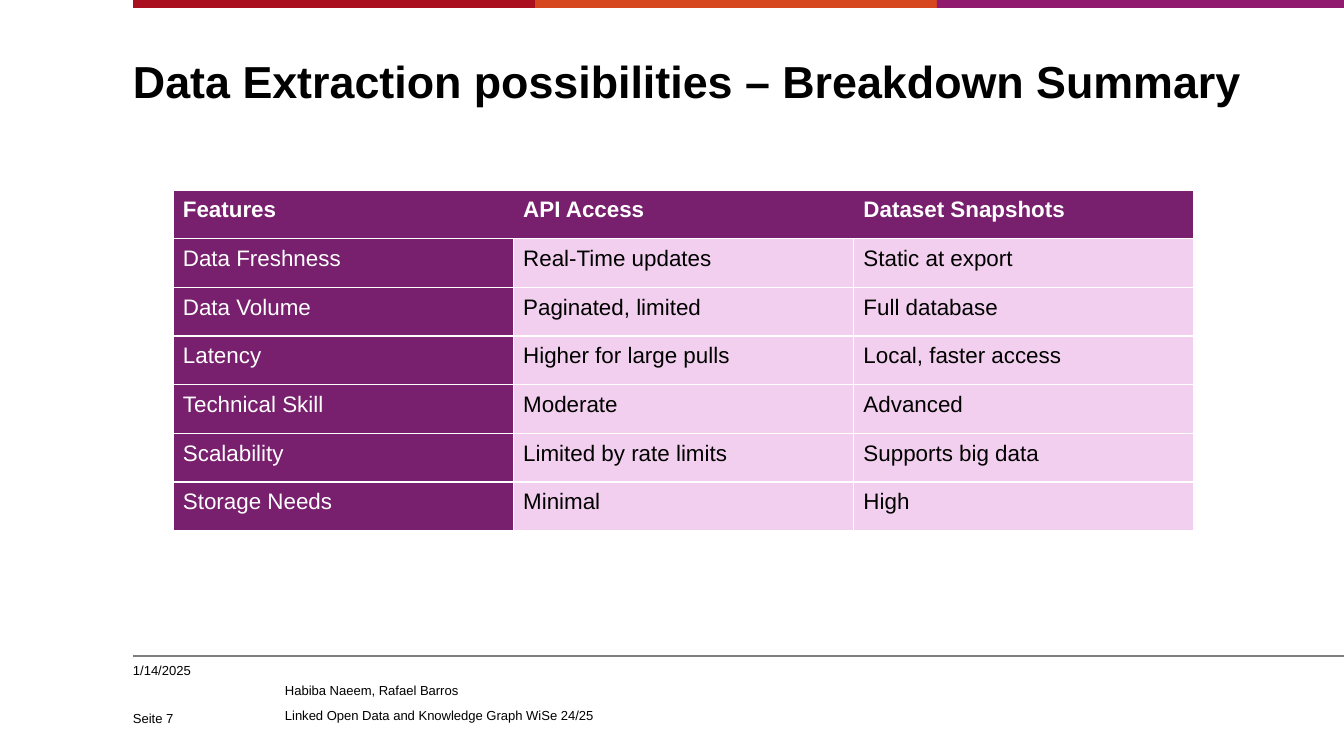
from pptx import Presentation
from pptx.dml.color import RGBColor
from pptx.enum.shapes import MSO_CONNECTOR as Connector, MSO_SHAPE as Shape
from pptx.enum.text import MSO_ANCHOR as Anchor
from pptx.oxml.ns import qn
from pptx.util import Pt
from lxml.etree import SubElement

PX = 914400 / 134.4
BLACK = RGBColor(0x00, 0x00, 0x00)
WHITE = RGBColor(0xFF, 0xFF, 0xFF)
GREY = RGBColor(0x7F, 0x7F, 0x7F)
RED = RGBColor(0xAA, 0x0F, 0x1F)
ORANGE = RGBColor(0xD7, 0x47, 0x1F)
MAGENTA = RGBColor(0x90, 0x1B, 0x6E)
PURPLE = RGBColor(0x78, 0x20, 0x6E)
PINK = RGBColor(0xF2, 0xCF, 0xEE)
LEFT = 133
WIDTH, HEIGHT = 1344, 756


def px(*lengths):
    return [round(length * PX) for length in lengths]


def add_text(area, lines, size, bold=False, anchor=Anchor.TOP):
    frame = page.shapes.add_textbox(*px(*area)).text_frame
    frame.word_wrap = True
    frame.vertical_anchor = anchor
    frame.margin_left = frame.margin_right = 0
    frame.margin_top = frame.margin_bottom = 0
    frame.text = "\n".join(lines)
    for para in frame.paragraphs:
        para.font.name = "Arial"
        para.font.size = Pt(size)
        para.font.bold = bold
        para.font.color.rgb = BLACK
    return frame


deck = Presentation()
deck.slide_width, deck.slide_height = px(WIDTH, HEIGHT)
page = deck.slides.add_slide(deck.slide_layouts[6])

stripes = [(LEFT, 402, RED), (535, 402, ORANGE), (937, 407, MAGENTA)]
for left, width, color in stripes:
    stripe = page.shapes.add_shape(Shape.RECTANGLE, *px(left, 0, width, 8))
    stripe.shadow.inherit = False
    stripe.fill.solid()
    stripe.fill.fore_color.rgb = color
    stripe.line.fill.background()

rule = page.shapes.add_connector(Connector.STRAIGHT, *px(LEFT, 656, WIDTH, 656))
rule.line.color.rgb = GREY
rule.line.width = Pt(0.75)
SubElement(rule._element.spPr, qn("a:effectLst"))

title = add_text((LEFT, 58, 1191, 99), ["Data Extraction possibilities – Breakdown Summary"], 24, bold=True)
title.paragraphs[0].line_spacing = 0.94

features = [
    ("Features", "API Access", "Dataset Snapshots"),
    ("Data Freshness", "Real-Time updates", "Static at export"),
    ("Data Volume", "Paginated, limited", "Full database"),
    ("Latency", "Higher for large pulls", "Local, faster access"),
    ("Technical Skill", "Moderate", "Advanced"),
    ("Scalability", "Limited by rate limits", "Supports big data"),
    ("Storage Needs", "Minimal", "High"),
]
table = page.shapes.add_table(len(features), 3, *px(173, 190, 1021, 341)).table
for row, values in enumerate(features):
    for column, value in enumerate(values):
        cell = table.cell(row, column)
        dark = row == 0 or column == 0
        cell.text = value
        cell.margin_left, cell.margin_right, cell.margin_top, cell.margin_bottom = px(10, 10, 6, 6)
        para = cell.text_frame.paragraphs[0]
        para.line_spacing = Pt(14.2)
        para.font.name = "Arial"
        para.font.size = Pt(12)
        para.font.bold = row == 0
        para.font.color.rgb = WHITE if dark else BLACK

        hidden = set()
        if row == 0:
            hidden = {side for side, edge in (("L", 0), ("R", 2)) if column != edge}
        properties = cell._tc.get_or_add_tcPr()
        for side in "LRTB":
            border = SubElement(properties, qn(f"a:ln{side}"), w=str(Pt(0.75)))
            if side in hidden:
                SubElement(border, qn("a:noFill"))
            else:
                fill = SubElement(border, qn("a:solidFill"))
                SubElement(fill, qn("a:srgbClr"), val=str(WHITE))
        cell.fill.solid()
        cell.fill.fore_color.rgb = PURPLE if dark else PINK

footer = add_text((285, 683, 579, 45), ["Habiba Naeem, Rafael Barros", "Linked Open Data and Knowledge Graph WiSe 24/25"], 7)
footer.paragraphs[1].space_before = Pt(5)
add_text((LEFT, 663, 142, 20), ["1/14/2025"], 7)
add_text((LEFT, 702, 142, 24), ["Seite 7"], 7, anchor=Anchor.BOTTOM)

deck.save("out.pptx")
